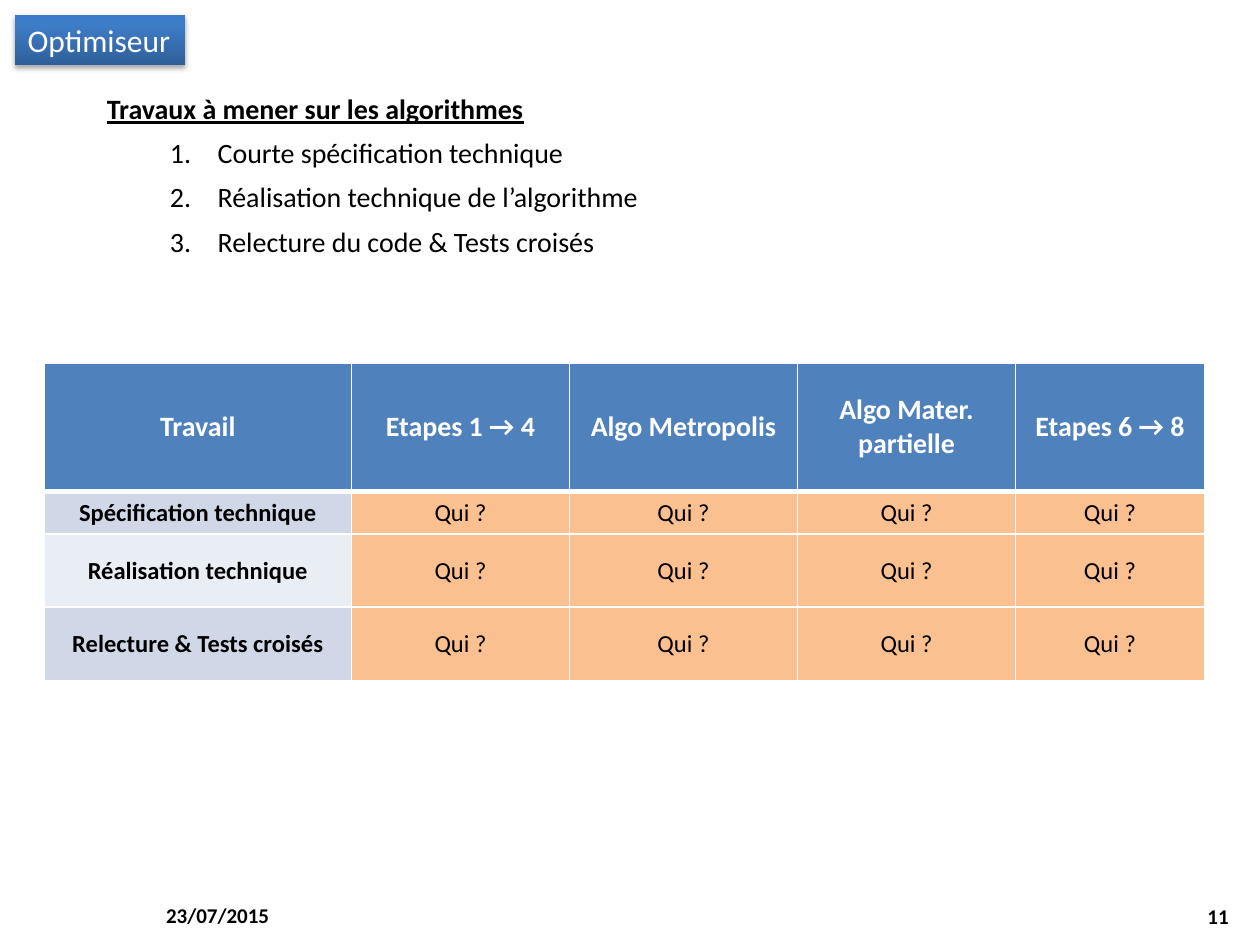
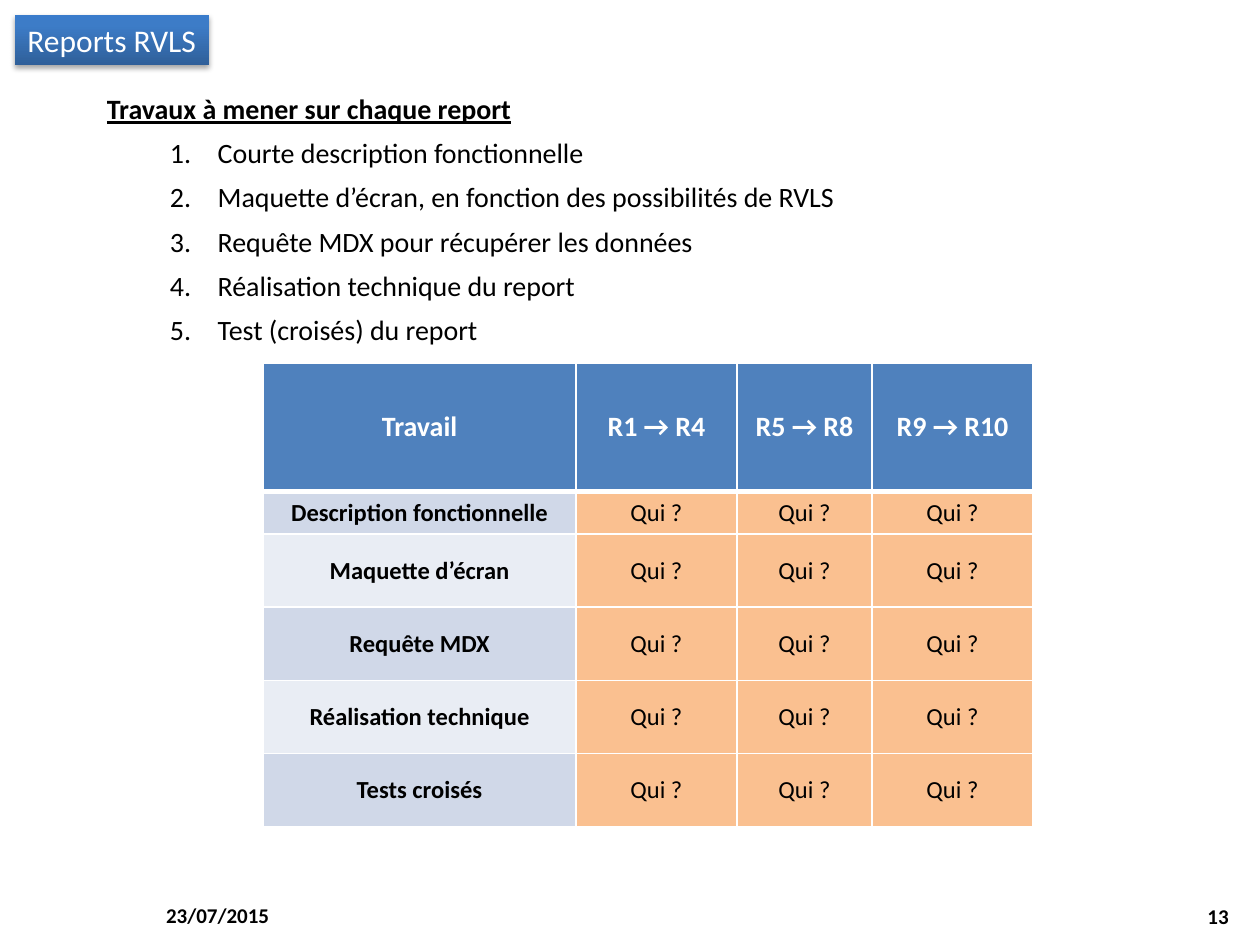
from copy import deepcopy
from dataclasses import dataclass

from lxml import etree
from pptx import Presentation
from pptx import util as u
from pptx.dml.color import RGBColor
from pptx.enum import shapes, text
from pptx.oxml.ns import qn

FONT = "Calibri"
BLACK, WHITE = "000000", "FFFFFF"
HEADER_BLUE, OWNER_ORANGE = "4F81BD", "FAC090"
BAND_COLOURS = ("D0D8E8", "E9EDF4")
TITLE_GRADIENT = ((0, "2F5F99"), (0.8, "3D7CC7"), (1, "3A7CCB"))
DATE = "23/07/2015"
OWNER = "Qui ?"
TABLE_TOP = 2.88
HEADER_HEIGHT, FIRST_ROW_HEIGHT, ROW_HEIGHT = 1.02, 0.34, 0.58
LEFT, CENTER, RIGHT = text.PP_ALIGN.LEFT, text.PP_ALIGN.CENTER, text.PP_ALIGN.RIGHT
TOP, MIDDLE = text.MSO_ANCHOR.TOP, text.MSO_ANCHOR.MIDDLE


@dataclass
class WorkSlide:
    title: str
    title_width: float
    heading: str
    steps: list[str]
    steps_height: float
    table_left: float
    column_widths: list[float]
    headers: list[str]
    tasks: list[str]
    number: int


WORK_SLIDES = [
    WorkSlide(
        title="Optimiseur",
        title_width=1.35,
        heading="Travaux à mener sur les algorithmes",
        steps=[
            "Courte spécification technique",
            "Réalisation technique de l’algorithme",
            "Relecture du code & Tests croisés",
        ],
        steps_height=1.43,
        table_left=0.35,
        column_widths=[2.44, 1.73, 1.81, 1.73, 1.5],
        headers=["Travail", "Etapes 1 → 4", "Algo Metropolis",
                 "Algo Mater. partielle", "Etapes 6 → 8"],
        tasks=["Spécification technique", "Réalisation technique",
               "Relecture & Tests croisés"],
        number=11,
    ),
    WorkSlide(
        title="Reports RVLS",
        title_width=1.54,
        heading="Travaux à mener sur chaque report",
        steps=[
            "Courte description fonctionnelle",
            "Maquette d’écran, en fonction des possibilités de RVLS",
            "Requête MDX pour récupérer les données",
            "Réalisation technique du report",
            "Test (croisés) du report",
        ],
        steps_height=2.14,
        table_left=2.09,
        column_widths=[2.48, 1.28, 1.07, 1.28],
        headers=["Travail", "R1 → R4", "R5 → R8", "R9 → R10"],
        tasks=["Description fonctionnelle", "Maquette d’écran", "Requête MDX",
               "Réalisation technique", "Tests croisés"],
        number=13,
    ),
]


def colour(value: str) -> RGBColor:
    return RGBColor.from_string(value)


def write(paragraph, content: str, size: float, color: str = BLACK, bold: bool = False,
          underline: bool = False, align=LEFT) -> None:
    paragraph.alignment = align
    run = paragraph.add_run()
    run.text = content
    font = run.font
    font.name, font.size = FONT, u.Pt(size)
    font.bold, font.underline = bold, underline
    font.color.rgb = colour(color)


def add_text_frame(slide, left: float, top: float, width: float, height: float, anchor=TOP):
    box = slide.shapes.add_textbox(*map(u.Inches, (left, top, width, height)))
    frame = box.text_frame
    frame.word_wrap = True
    frame.vertical_anchor = anchor
    return frame


def add_title(slide, title: str, width: float) -> None:
    shape = slide.shapes.add_shape(
        shapes.MSO_SHAPE.RECTANGLE, *map(u.Inches, (0.12, 0.12, width, 0.4)))
    shape.line.fill.background()
    shape.fill.gradient()
    shape.fill.gradient_angle = 90
    properties = shape._element.spPr
    stops = properties.find(qn("a:gradFill")).find(qn("a:gsLst"))
    stops.append(deepcopy(stops[0]))
    for stop, (position, value) in zip(shape.fill.gradient_stops, TITLE_GRADIENT):
        stop.position = position
        stop.color.rgb = colour(value)
    add_shadow(shape)
    frame = shape.text_frame
    frame.word_wrap = False
    frame.auto_size = text.MSO_AUTO_SIZE.SHAPE_TO_FIT_TEXT
    frame.vertical_anchor = TOP
    write(frame.paragraphs[0], title, size=18, color=WHITE)


def add_shadow(shape) -> None:
    shape.shadow.inherit = False
    effects = shape._element.spPr.find(qn("a:effectLst"))
    shadow = etree.SubElement(
        effects, qn("a:outerShdw"), blurRad=str(u.Pt(3.1)), dist=str(u.Pt(1.8)),
        dir="5400000", rotWithShape="0")
    shade = etree.SubElement(shadow, qn("a:srgbClr"), val=BLACK)
    etree.SubElement(shade, qn("a:alpha"), val="35000")


def number_paragraph(paragraph) -> None:
    paragraph.level = 1
    properties = paragraph._p.get_or_add_pPr()
    properties.set("marL", str(u.Inches(0.88)))
    properties.set("indent", str(u.Inches(-0.38)))
    etree.SubElement(properties, qn("a:buFont"), typeface="+mj-lt")
    etree.SubElement(properties, qn("a:buAutoNum"), type="arabicPeriod")


def add_steps(slide, work: WorkSlide) -> None:
    frame = add_text_frame(slide, 0.75, 0.68, 9.06, work.steps_height)
    heading = frame.paragraphs[0]
    heading.space_after = u.Pt(3)
    write(heading, work.heading, size=16, bold=True, underline=True)
    for step in work.steps:
        paragraph = frame.add_paragraph()
        paragraph.space_before = paragraph.space_after = u.Pt(3)
        number_paragraph(paragraph)
        write(paragraph, step, size=16)


def set_borders(cell, top: float = 1, bottom: float = 1) -> None:
    """Draw white borders; widths are in points and the sides are always 1."""
    properties = cell._tc.get_or_add_tcPr()
    for side, width in (("L", 1), ("R", 1), ("T", top), ("B", bottom)):
        line = etree.SubElement(properties, qn(f"a:ln{side}"), w=str(u.Pt(width)))
        fill = etree.SubElement(line, qn("a:solidFill"))
        etree.SubElement(fill, qn("a:srgbClr"), val=WHITE)


def fill_cell(cell, content: str, fill: str, size: float, color: str = BLACK,
              bold: bool = False) -> None:
    cell.fill.solid()
    cell.fill.fore_color.rgb = colour(fill)
    cell.vertical_anchor = MIDDLE
    write(cell.text_frame.paragraphs[0], content, size=size, color=color, bold=bold,
          align=CENTER)


def add_work_table(slide, work: WorkSlide) -> None:
    heights = [HEADER_HEIGHT, FIRST_ROW_HEIGHT] + [ROW_HEIGHT] * (len(work.tasks) - 1)
    widths = work.column_widths
    table = slide.shapes.add_table(
        len(heights), len(widths), u.Inches(work.table_left), u.Inches(TABLE_TOP),
        u.Inches(sum(widths)), u.Inches(sum(heights))).table
    for row, height in zip(table.rows, heights):
        row.height = u.Inches(height)
    for column, width in zip(table.columns, widths):
        column.width = u.Inches(width)

    for column, header in enumerate(work.headers):
        cell = table.cell(0, column)
        set_borders(cell, bottom=3)
        fill_cell(cell, header, HEADER_BLUE, size=16, color=WHITE, bold=True)
    for row, task in enumerate(work.tasks, start=1):
        for column in range(len(widths)):
            cell = table.cell(row, column)
            set_borders(cell, top=3 if row == 1 else 1)
            if column == 0:
                fill_cell(cell, task, BAND_COLOURS[(row - 1) % 2], size=14, bold=True)
            else:
                fill_cell(cell, OWNER, OWNER_ORANGE, size=14)


def add_footer(slide, number: int) -> None:
    date = add_text_frame(slide, 1.22, 7.06, 2.33, 0.4, anchor=MIDDLE)
    write(date.paragraphs[0], DATE, size=12, bold=True)
    page = add_text_frame(slide, 7.52, 7.07, 2.33, 0.4, anchor=MIDDLE)
    write(page.paragraphs[0], str(number), size=12, bold=True, align=RIGHT)


def main() -> None:
    presentation = Presentation()
    presentation.slide_width, presentation.slide_height = u.Inches(10), u.Inches(7.5)
    for work in WORK_SLIDES:
        slide = presentation.slides.add_slide(presentation.slide_layouts[6])
        add_footer(slide, work.number)
        add_steps(slide, work)
        add_work_table(slide, work)
        add_title(slide, work.title, work.title_width)
    presentation.save("out.pptx")


if __name__ == "__main__":
    main()
